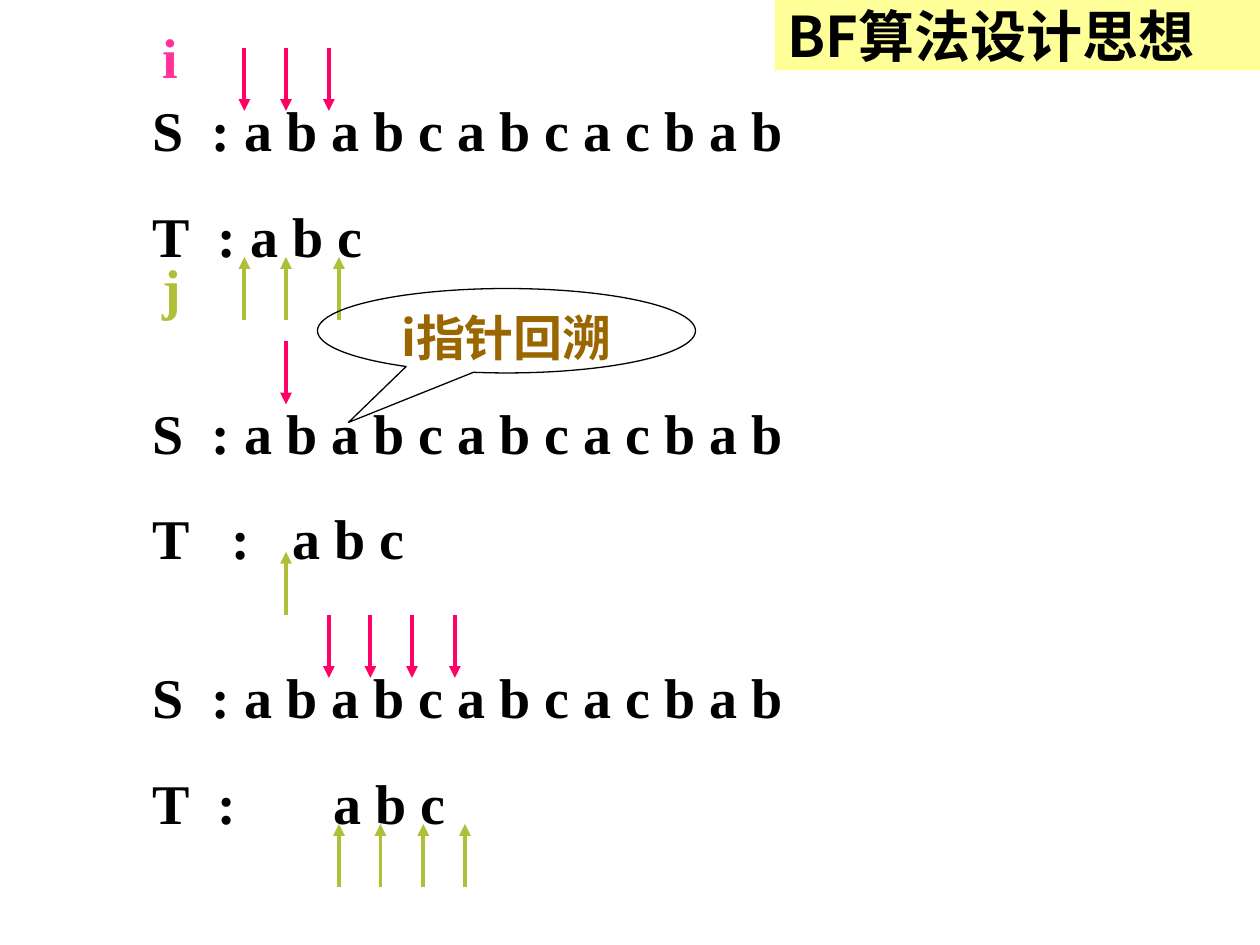
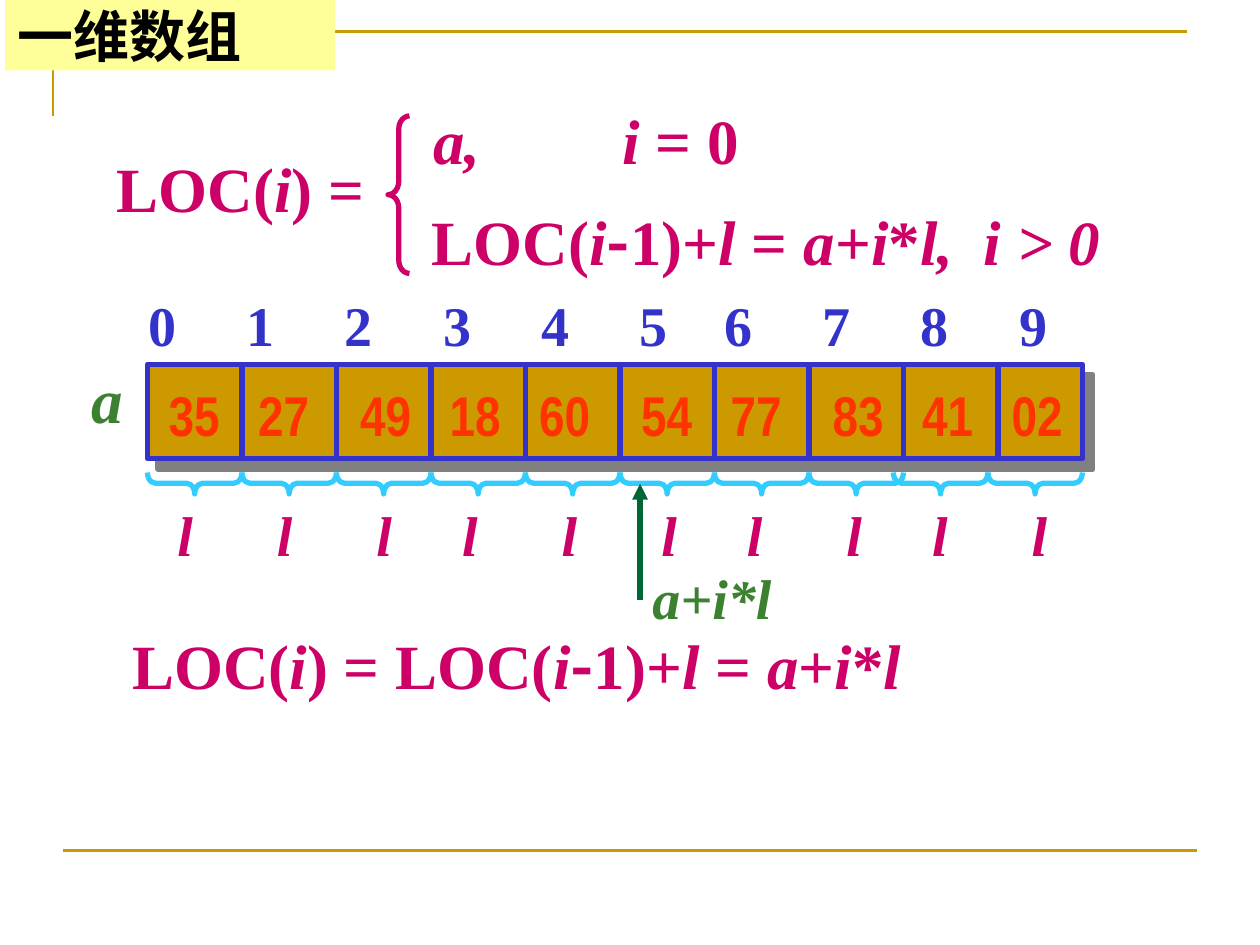
from itertools import accumulate

from lxml import etree
from pptx import Presentation
from pptx.dml.color import RGBColor
from pptx.enum.shapes import MSO_CONNECTOR, MSO_SHAPE
from pptx.enum.text import MSO_ANCHOR, MSO_AUTO_SIZE, PP_ALIGN
from pptx.oxml.ns import qn
from pptx.util import Inches, Pt

STRAIGHT = MSO_CONNECTOR.STRAIGHT
RECT = MSO_SHAPE.RECTANGLE
BRACE = MSO_SHAPE.LEFT_BRACE
BUBBLE = MSO_SHAPE.OVAL_CALLOUT
TOP, MIDDLE = MSO_ANCHOR.TOP, MSO_ANCHOR.MIDDLE
LEFT, CENTER = PP_ALIGN.LEFT, PP_ALIGN.CENTER
NO_FIT = MSO_AUTO_SIZE.NONE

SERIF = "Times New Roman"
NARROW = "Arial Narrow"
HAN = "Noto Sans CJK SC"
TITLE_LAYOUT = 5

COLORS = {
    "black": "000000",
    "band": "FFFF99",
    "gold": "CC9900",
    "red": "FF0066",
    "pink": "FF3399",
    "olive": "AFBF39",
    "brown": "996600",
    "blue": "3333CC",
    "orange": "FF3300",
    "sky": "33CCFF",
    "rose": "CC0066",
    "green": "3B812F",
    "forest": "006633",
    "gray": "808080",
}


def rgb(name):
    return RGBColor.from_string(COLORS[name])


def box_at(*lengths):
    return [Inches(length) for length in lengths]


# Text

def style(run, size, color, face=SERIF, italic=False):
    font = run.font
    font.size, font.bold, font.italic = Pt(size), True, italic
    font.color.rgb = rgb(color)
    font.name = face
    etree.SubElement(run._r.get_or_add_rPr(), qn("a:ea"), typeface=face)


def set_tabs(para, stops):
    tabs = etree.SubElement(para._p.get_or_add_pPr(), qn("a:tabLst"))
    for stop in stops:
        etree.SubElement(tabs, qn("a:tab"), pos=str(Inches(stop)), algn="l")


def add_text(slide, place, text, size, color, face=SERIF, italic=False):
    frame = slide.shapes.add_textbox(*box_at(*place)).text_frame
    frame.word_wrap = True
    frame.text = text
    for para in frame.paragraphs:
        for run in para.runs:
            style(run, size, color, face, italic)
    return frame


def add_math(slide, place, text, stops=()):
    """Parts between underscores are italic; a lone minus uses the Han face."""
    frame = slide.shapes.add_textbox(*box_at(*place)).text_frame
    frame.word_wrap = True
    para = frame.paragraphs[0]
    if stops:
        set_tabs(para, stops)
    for n, part in enumerate(text.split("_")):
        if part:
            run = para.add_run()
            run.text = part
            style(run, 36, "rose", HAN if part == "-" else SERIF, n % 2 == 1)


def add_row(slide, place, words, wide, tight, short, color,
            face=SERIF, italic=False):
    """Spread words over tab stops; steps listed in short are tight."""
    steps = [tight if n in short else wide for n in range(1, len(words))]
    frame = add_text(slide, place, "\t".join(words), 32, color, face, italic)
    set_tabs(frame.paragraphs[0], accumulate(steps))


def set_title(slide, text, left, width):
    title = slide.shapes.title
    title.left, title.top, title.width, title.height = box_at(
        left, 0, width, 0.56)
    title.fill.solid()
    title.fill.fore_color.rgb = rgb("band")
    frame = title.text_frame
    frame.text = text
    frame.auto_size, frame.vertical_anchor = NO_FIT, MIDDLE
    para = frame.paragraphs[0]
    para.alignment = LEFT
    style(para.runs[0], 32, "black", HAN)
    slide.shapes._spTree.append(title._element)  # in front of the rules


# Lines and shapes

def add_line(slide, start, end, color, weight, arrow=False):
    line = slide.shapes.add_connector(STRAIGHT, *box_at(*start, *end))
    line.line.color.rgb = rgb(color)
    line.line.width = Pt(weight)
    if arrow:
        etree.SubElement(line.line._get_or_add_ln(), qn("a:tailEnd"),
                         type="triangle")
    etree.SubElement(line._element.spPr, qn("a:effectLst"))


def outline(shape, color, weight):
    shape.shadow.inherit = False
    shape.fill.background()
    shape.line.color.rgb = rgb(color)
    shape.line.width = Pt(weight)


def add_shape(slide, kind, place, color, weight, adjust=()):
    shape = slide.shapes.add_shape(kind, *box_at(*place))
    outline(shape, color, weight)
    for n, value in enumerate(adjust):
        shape.adjustments[n] = value
    return shape


def add_arrows(slide, xs, start, end, color):
    for x in xs:
        add_line(slide, (x, start), (x, end), color, 2.25, True)


# Slide 1: string matching

def add_match(slide, top, pattern, stops):
    frame = add_text(slide, (1.11, top, 7.92, 1.45),
                     "S\t: a b a b c a b c a c b a b\n" + pattern, 32, "black")
    text, pat = frame.paragraphs
    pat.space_before = Pt(22)
    set_tabs(text, [0.47])
    set_tabs(pat, stops)


def add_bubble(slide):
    bubble = add_shape(slide, BUBBLE, (2.52, 2.29, 3, 0.67), "black", 0.75,
                       (-0.418, 1.086))
    frame = bubble.text_frame
    frame.text = "i指针回溯"
    frame.vertical_anchor = TOP
    para = frame.paragraphs[0]
    para.alignment = CENTER
    style(para.runs[0], 28, "brown", HAN)


def build_match(slide):
    add_match(slide, 0.71, "T\t: a b c", [0.52])
    add_match(slide, 3.11, "T\t:\ta b c", [0.63, 1.11])
    add_match(slide, 5.21, "T\t:\ta b c", [0.52, 1.44])
    add_text(slide, (1.19, 0.13, 0.92, 0.64), "i", 32, "pink")
    add_text(slide, (1.19, 1.96, 0.5, 0.64), "j", 32, "olive")

    # Pointer i above, pointer j below
    for xs, top in (((1.94, 2.27, 2.61), 0.38), ((2.27,), 2.71),
                    ((2.61, 2.94, 3.27, 3.61), 4.88)):
        add_arrows(slide, xs, top, top + 0.5, "red")
    for xs, top in (((1.94, 2.27, 2.69), 2.04), ((2.27,), 4.38),
                    ((2.69, 3.02, 3.36, 3.69), 6.54)):
        add_arrows(slide, xs, top + 0.5, top, "olive")

    add_bubble(slide)
    set_title(slide, "BF算法设计思想", 6.15, 3.85)


# Slide 2: one-dimensional array

def add_rules(slide):
    pen = slide.shapes.build_freeform(*box_at(0.42, 0.92), scale=1.0)
    pen.add_line_segments([box_at(0.42, 0.25), box_at(9.42, 0.25)],
                          close=False)
    outline(pen.convert_to_shape(), "gold", 1.5)
    add_line(slide, (0.5, 6.75), (9.5, 6.75), "gold", 1.5)


def add_bar(slide):
    bar = add_shape(slide, RECT, (1.17, 2.89, 7.42, 0.75), "blue", 3)
    bar.fill.solid()
    bar.fill.fore_color.rgb = rgb("gold")
    effects = bar._element.spPr.find(qn("a:effectLst"))
    shadow = etree.SubElement(effects, qn("a:outerShdw"), blurRad="0",
                              dist=str(Pt(8.5)), dir="2700000",
                              algn="ctr", rotWithShape="0")
    etree.SubElement(shadow, qn("a:srgbClr"), val=COLORS["gray"])


def build_array(slide):
    add_rules(slide)
    set_title(slide, "一维数组", 0.04, 2.62)

    # Cells with values and indices
    add_bar(slide)
    values = "35 27 49 18 60 54 77 83 41 02".split()
    add_row(slide, (1.24, 2.97, 7.6, 0.64), values, 0.81, 0.71,
            {1, 3, 4, 6, 8, 9}, "orange", NARROW)
    for n in range(1, 10):
        x = 1.17 + 0.75 * n
        add_line(slide, (x, 2.89), (x, 3.64), "blue", 3)
    add_row(slide, (1.08, 2.26, 7.6, 0.64), "0123456789", 0.78, 0.67, {6},
            "blue")

    # Length of each cell
    for n in range(10):
        left = 1.46 + 0.75 * n - (0.08 if n > 7 else 0)
        brace = add_shape(slide, BRACE, (left, 3.46, 0.17, 0.75), "sky", 3,
                          (0.37, 0.5))
        brace.rotation = 270
    add_row(slide, (1.31, 3.92, 7.6, 0.64), "l" * 10, 0.79, 0.68, {3, 6, 8},
            "rose", italic=True)

    # Location formulas
    add_math(slide, (0.95, 4.92, 8.39, 0.7),
             "LOC(_i_) = LOC(_i_-__1)+_l_ = _a_+_i_*_l")
    add_shape(slide, BRACE, (3.08, 0.92, 0.17, 1.25), "rose", 3, (0.62, 0.5))
    add_math(slide, (0.83, 1.14, 2.25, 0.7), "LOC(_i_) =")
    add_math(slide, (3.33, 1.56, 5.75, 0.7),
             "LOC(_i_-__1)+_l_ = _a_+_i_*_l,\ti > 0", [4.38])
    add_math(slide, (3.34, 0.76, 3.25, 0.7), "_a,\ti _= 0", [1.5])

    # Addresses
    add_line(slide, (5.08, 4.76), (5.08, 3.84), "forest", 3, True)
    add_text(slide, (5.08, 4.42, 1.3, 0.64), "a+i*l", 32, "green", italic=True)
    add_text(slide, (0.63, 2.81, 0.5, 0.7), "a", 36, "green", italic=True)


def main():
    deck = Presentation()
    deck.slide_width, deck.slide_height = box_at(10, 7.5)
    for build in (build_match, build_array):
        build(deck.slides.add_slide(deck.slide_layouts[TITLE_LAYOUT]))
    deck.save("out.pptx")


if __name__ == "__main__":
    main()
